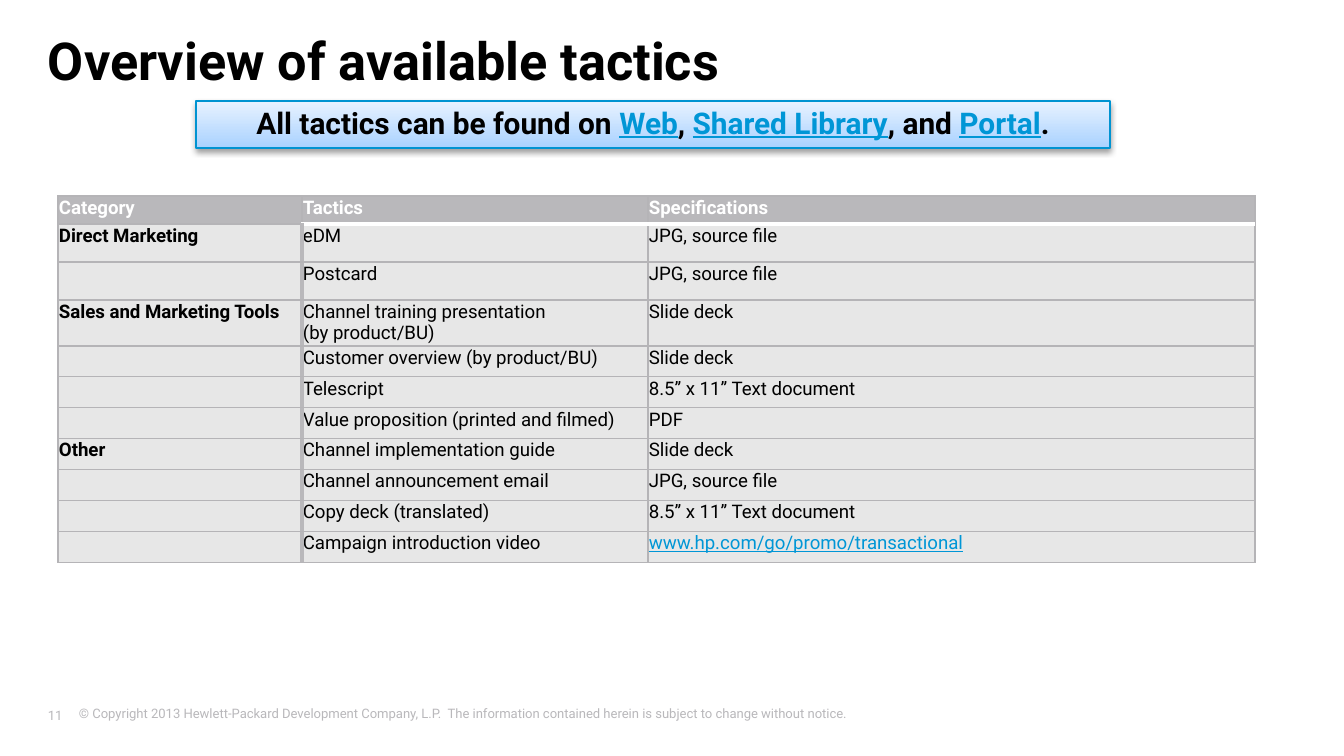
from lxml import etree
from pptx import Presentation
from pptx.dml.color import RGBColor
from pptx.enum.shapes import MSO_SHAPE
from pptx.enum.text import MSO_ANCHOR, PP_ALIGN
from pptx.oxml import parse_xml
from pptx.oxml.ns import nsdecls, qn
from pptx.util import Pt

RECTANGLE = MSO_SHAPE.RECTANGLE
TOP, MIDDLE = MSO_ANCHOR.TOP, MSO_ANCHOR.MIDDLE
LEFT, CENTER = PP_ALIGN.LEFT, PP_ALIGN.CENTER

BLACK = RGBColor(0x00, 0x00, 0x00)
WHITE = RGBColor(0xFF, 0xFF, 0xFF)
GRAY = RGBColor(0xB9, 0xB8, 0xBB)
RULE_GRAY = RGBColor(0xB5, 0xB4, 0xB7)
CELL_GRAY = RGBColor(0xE7, 0xE7, 0xE7)
LINK_BLUE = RGBColor(0x00, 0x96, 0xD6)
EDGE_BLUE = RGBColor(0x00, 0x93, 0xD1)
DEEP_BLUE = RGBColor(0xA9, 0xD2, 0xFF)
PALE_BLUE = RGBColor(0xE8, 0xF2, 0xFF)

PX = 914400 / 134.4


def px(*lengths):
    return [round(length * PX) for length in lengths]


def write(paragraph, text, size=10, color=BLACK, bold=False, underline=False):
    for number, line in enumerate(text.split("\n")):
        if number:
            paragraph.add_line_break()
        run = paragraph.add_run()
        run.text = line
        run.font.name = "Roboto"
        run.font.size = Pt(size)
        run.font.color.rgb = color
        run.font.bold = bold
        run.font.underline = underline


prs = Presentation()
prs.slide_width, prs.slide_height = px(1344, 756)
slide = prs.slides.add_slide(prs.slide_layouts[5])

# Title
title = slide.shapes.title
title.left, title.top, title.width, title.height = px(48, 28, 1194, 63)
heading = title.text_frame
heading.margin_left = heading.margin_right = heading.margin_top = heading.margin_bottom = 0
heading.vertical_anchor = TOP
heading.paragraphs[0].alignment = LEFT
write(heading.paragraphs[0], "Overview of available tactics", size=28, bold=True)

# Banner with the places to find tactics
banner = slide.shapes.add_shape(RECTANGLE, *px(196, 101, 914, 47))
banner.fill.gradient()
banner.fill.gradient_angle = 90
for stop, color in zip(banner.fill.gradient_stops, (DEEP_BLUE, PALE_BLUE)):
    stop.color.rgb = color
banner.line.color.rgb = EDGE_BLUE
banner.line.width = Pt(0.75)
banner.shadow.inherit = False
banner._element.spPr.find(qn("a:effectLst")).append(parse_xml(
    f'<a:outerShdw {nsdecls("a")} blurRad="{Pt(3.1)}" dist="{Pt(1.6)}" dir="5400000" rotWithShape="0">'
    '<a:srgbClr val="000000"><a:alpha val="38000"/></a:srgbClr></a:outerShdw>'))
banner.text_frame.word_wrap = True
banner.text_frame.vertical_anchor = MIDDLE
sentence = banner.text_frame.paragraphs[0]
sentence.alignment = CENTER
sentence.line_spacing = 0.9
for text, is_link in (
    ("All tactics can be found on ", False), ("Web", True), (", ", False),
    ("Shared Library", True), (", and ", False), ("Portal", True), (".", False),
):
    write(sentence, text, size=16, bold=True, underline=is_link,
          color=LINK_BLUE if is_link else BLACK)

# Tactics table
ROWS = [
    ("Category", "Tactics", "Specifications"),
    ("Direct Marketing", "eDM", "JPG, source file"),
    ("", "Postcard", "JPG, source file"),
    ("Sales and Marketing Tools", "Channel training presentation \n(by product/BU)", "Slide deck"),
    ("", "Customer overview (by product/BU)", "Slide deck"),
    ("", "Telescript", "8.5” x 11” Text document"),
    ("", "Value proposition (printed and filmed)", "PDF"),
    ("Other", "Channel implementation guide", "Slide deck"),
    ("", "Channel announcement email", "JPG, source file"),
    ("", "Copy deck (translated)", "8.5” x 11” Text document"),
    ("", "Campaign introduction video", "www.hp.com/go/promo/transactional"),
]
COLUMN_WIDTHS = px(244, 346, 607)
ROW_HEIGHTS = px(28, 38, 38, 46, *[31] * 7)

tactics = slide.shapes.add_table(
    len(ROWS), len(COLUMN_WIDTHS), *px(58, 196), sum(COLUMN_WIDTHS), sum(ROW_HEIGHTS)).table
tactics.first_row = tactics.horz_banding = False
for column, width in zip(tactics.columns, COLUMN_WIDTHS):
    column.width = width
for row, height in zip(tactics.rows, ROW_HEIGHTS):
    row.height = height

for r, entries in enumerate(ROWS):
    for c, text in enumerate(entries):
        cell = tactics.cell(r, c)
        is_header = r == 0
        is_link = text.startswith("www.")
        cell.margin_left = cell.margin_right = cell.margin_top = px(1)[0]
        cell.margin_bottom = 0
        cell.vertical_anchor = TOP

        # Heavy rules lie under the header and beside the categories
        thin, white, gray = (RULE_GRAY, 0.75), (WHITE, 2.5), (GRAY, 2)
        borders = {
            "lnL": gray if c == 1 and not is_header else thin,
            "lnR": gray if c == 0 and not is_header else thin,
            "lnT": white if r == 1 and c else thin,
            "lnB": white if is_header and c else thin,
        }
        cell_format = cell._tc.get_or_add_tcPr()
        for side, (color, weight) in borders.items():
            cell_format.append(parse_xml(
                f'<a:{side} {nsdecls("a")} w="{Pt(weight)}"><a:solidFill>'
                f'<a:srgbClr val="{color}"/></a:solidFill></a:{side}>'))
        cell.fill.solid()
        cell.fill.fore_color.rgb = GRAY if is_header else CELL_GRAY

        paragraph = cell.text_frame.paragraphs[0]
        if text:
            write(paragraph, text, bold=is_header or c == 0, underline=is_link,
                  color=WHITE if is_header else LINK_BLUE if is_link else BLACK)
        else:
            etree.SubElement(paragraph._p, qn("a:endParaRPr"), sz="1000")

# Footer: page number and copyright line
for place, text, anchor, inset in (
    ((48, 704, 47, 22), "11", MIDDLE, 0),
    ((66, 699, 1177, 34),
     "© Copyright 2013 Hewlett-Packard Development Company, L.P.  "
     "The information contained herein is subject to change without notice.", TOP, 13),
):
    footer = slide.shapes.add_textbox(*px(*place)).text_frame
    footer.word_wrap = True
    footer.vertical_anchor = anchor
    footer.margin_left = px(inset)[0]
    write(footer.paragraphs[0], text, size=7, color=GRAY)

prs.save("out.pptx")
